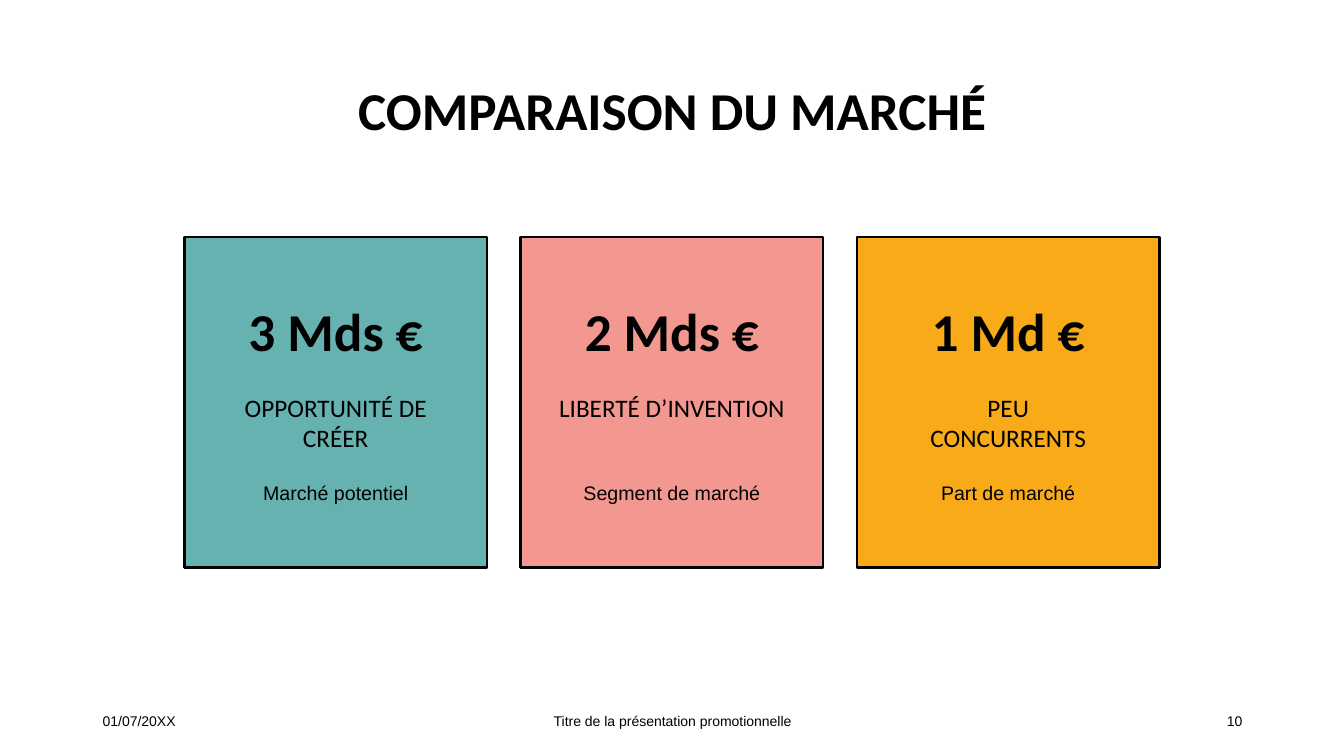
"""Build the market comparison slide with three coloured figure cards."""
from pptx import Presentation
from pptx.dml.color import RGBColor
from pptx.enum.shapes import MSO_SHAPE
from pptx.enum.text import MSO_ANCHOR, PP_ALIGN
from pptx.util import Inches, Pt

RECTANGLE = MSO_SHAPE.RECTANGLE
TOP, MIDDLE = MSO_ANCHOR.TOP, MSO_ANCHOR.MIDDLE
LEFT, CENTER, RIGHT = PP_ALIGN.LEFT, PP_ALIGN.CENTER, PP_ALIGN.RIGHT
COLORS = {"black": "000000", "white": "FFFFFF", "teal": "66B2B0", "pink": "F39891", "amber": "F9AA19"}
HEADING = {"name": "Calibri", "size": Pt(38), "bold": True}
LABEL = {"name": "Calibri", "size": Pt(18), "bold": False}
DETAIL = {"name": "Arial", "size": Pt(14), "bold": False}
FOOTER = {"name": "Arial", "size": Pt(10), "bold": False}


def write_text(shape, lines, font_format, align=CENTER, anchor=TOP, spacing=1.0):
    frame = shape.text_frame
    frame.word_wrap = True
    frame.vertical_anchor = anchor
    frame.text = "\n".join(lines)
    for paragraph in frame.paragraphs:
        paragraph.alignment = align
        paragraph.line_spacing = spacing
        paragraph.space_before = Pt(0)
        paragraph.font.color.rgb = RGBColor.from_string(COLORS["black"])
        for attribute, value in font_format.items():
            setattr(paragraph.font, attribute, value)


def add_text(left, top, width, height, lines, font_format, **layout):
    box = slide.shapes.add_textbox(Inches(left), Inches(top), Inches(width), Inches(height))
    write_text(box, lines, font_format, **layout)


presentation = Presentation()
presentation.slide_width = Inches(13.33)
presentation.slide_height = Inches(7.5)
slide = presentation.slides.add_slide(presentation.slide_layouts[5])
slide.background.fill.solid()
slide.background.fill.fore_color.rgb = RGBColor.from_string(COLORS["white"])

title = slide.shapes.title
title.left, title.top = Inches(0.92), Inches(0.4)
title.width, title.height = Inches(11.5), Inches(1.45)
write_text(title, ["COMPARAISON DU MARCHÉ"], HEADING, anchor=MIDDLE, spacing=0.9)

cards = [
    ("teal", "3 Mds €", ["OPPORTUNITÉ DE CRÉER"], "Marché potentiel"),
    ("pink", "2 Mds €", ["LIBERTÉ D’INVENTION"], "Segment de marché"),
    ("amber", "1 Md €", ["PEU", "CONCURRENTS"], "Part de marché"),
]
for index, (color, amount, label, detail) in enumerate(cards):
    left = 1.83 + index * 3.335
    card = slide.shapes.add_shape(RECTANGLE, Inches(left), Inches(2.35), Inches(3), Inches(3.28))
    card.shadow.inherit = False
    card.fill.solid()
    card.fill.fore_color.rgb = RGBColor.from_string(COLORS[color])
    card.line.color.rgb = RGBColor.from_string(COLORS["black"])
    card.line.width = Pt(1.75)
    card.text_frame.margin_top = Inches(0.68)
    write_text(card, [amount], HEADING, spacing=0.9)
    add_text(left + 0.25, 3.84, 2.5, 0.8, label, LABEL)
    add_text(left + 0.25, 4.68, 2.5, 0.7, [detail], DETAIL, spacing=Pt(20))

footers = [
    (0.92, 3, "01/07/20XX", LEFT),
    (4.42, 4.5, "Titre de la présentation promotionnelle", CENTER),
    (9.42, 3, "10", RIGHT),
]
for left, width, text, align in footers:
    add_text(left, 6.95, width, 0.4, [text], FOOTER, align=align, anchor=MIDDLE)

presentation.save("out.pptx")
